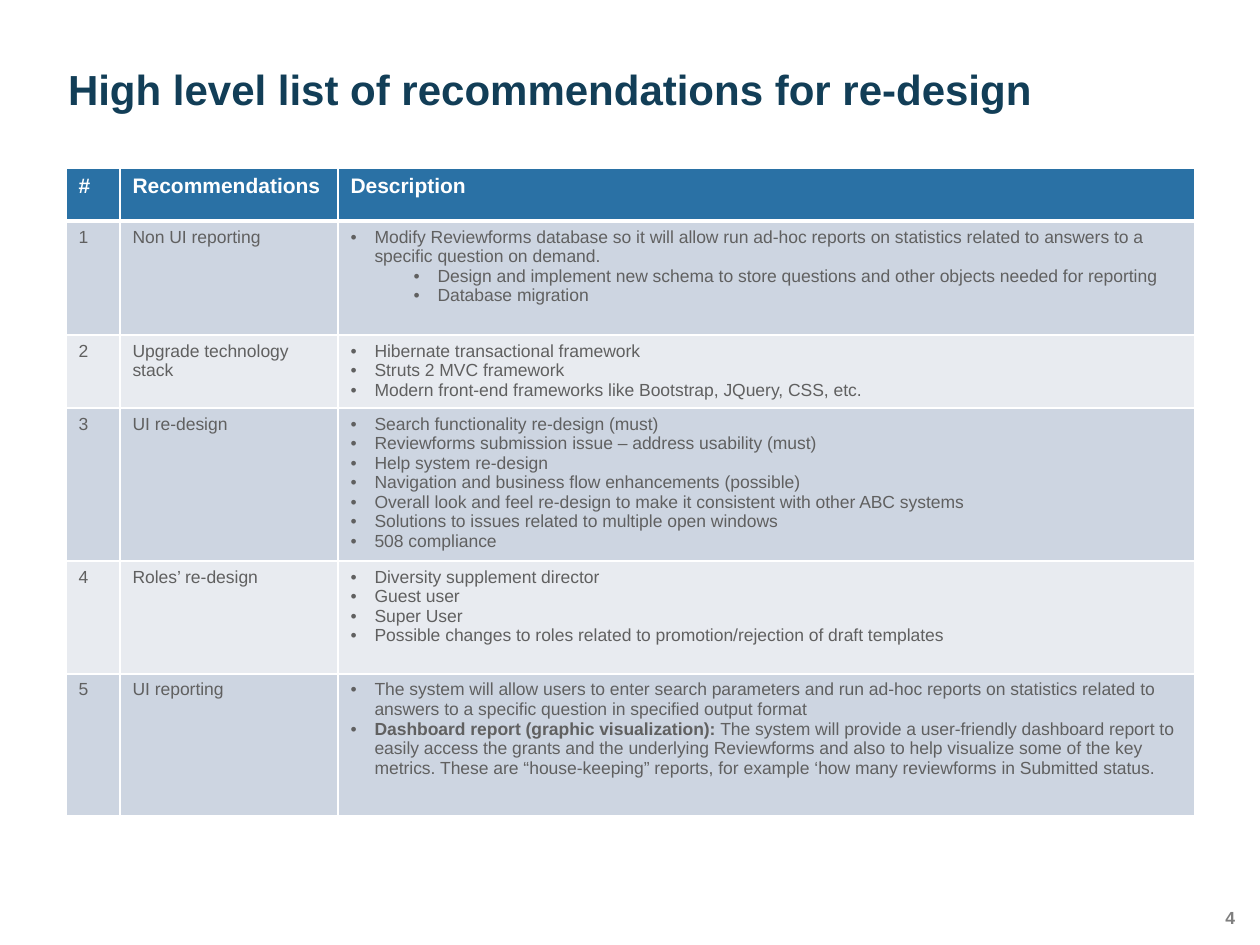
import pptx
import pptx.util
import pptx.dml.color
import pptx.enum.text
import pptx.oxml
import pptx.oxml.ns
from lxml import etree

PX = 914400 / 126
COLORS = {"title": "123E57", "header": "2A71A5", "odd": "CDD5E1",
          "even": "E8EBF0", "body": "606060", "white": "FFFFFF", "number": "7F7F7F"}
COLUMN_WIDTHS = [54, 218, 857]
ROW_HEIGHTS = [53, 114, 73, 153, 113, 142]
HEADER = ["#", "Recommendations", "Description"]

# Each description item is (level, text) or (level, text, bold lead-in).
RECOMMENDATIONS = [
    ("Non UI reporting", [
        (0, "Modify Reviewforms database so it will allow run ad-hoc reports on "
            "statistics related to answers to a specific question on demand."),
        (1, "Design and implement new schema to store questions and other objects "
            "needed for reporting"),
        (1, "Database migration")]),
    ("Upgrade technology stack", [
        (0, "Hibernate transactional framework"),
        (0, "Struts 2 MVC framework"),
        (0, "Modern front-end frameworks like Bootstrap, JQuery, CSS, etc.")]),
    ("UI re-design", [
        (0, "Search functionality re-design (must)"),
        (0, "Reviewforms submission issue – address usability (must)"),
        (0, "Help system re-design"),
        (0, "Navigation and business flow enhancements (possible)"),
        (0, "Overall look and feel re-design to make it consistent with other ABC systems"),
        (0, "Solutions to issues related to multiple open windows"),
        (0, "508 compliance")]),
    ("Roles’ re-design", [
        (0, "Diversity supplement director"),
        (0, "Guest user"),
        (0, "Super User"),
        (0, "Possible changes to roles related to promotion/rejection of draft templates")]),
    ("UI reporting", [
        (0, "The system will allow users to enter search parameters and run ad-hoc "
            "reports on statistics related to answers to a specific question in "
            "specified output format"),
        (0, "The system will provide a user-friendly dashboard report to easily access "
            "the grants and the underlying Reviewforms and also to help visualize some "
            "of the key metrics. These are “house-keeping” reports, for example "
            "‘how many reviewforms in Submitted status.",
            "Dashboard report (graphic visualization): ")]),
]


def px(n):
    """Turn pixels into EMU."""
    return pptx.util.Emu(round(n * PX))


def rgb(name):
    """Look up a named colour."""
    return pptx.dml.color.RGBColor.from_string(COLORS[name])


def add_text(p, text, size=10, color="body", bold=False):
    """Add one formatted run to a paragraph."""
    r = p.add_run()
    r.text = text
    r.font.name = "Arial"
    r.font.size = pptx.util.Pt(size)
    r.font.bold = bold
    r.font.color.rgb = rgb(color)


def set_frame(tf, anchor):
    """Give a text frame no margins, wrapping and an anchor."""
    tf.margin_left = tf.margin_right = tf.margin_top = tf.margin_bottom = 0
    tf.word_wrap = True
    tf.auto_size = pptx.enum.text.MSO_AUTO_SIZE.NONE
    tf.vertical_anchor = anchor


def set_bullet(p, level):
    """Give a paragraph a hanging bullet at its level."""
    p.level = level
    pPr = p._p.get_or_add_pPr()
    pPr.set("marL", str(px(24 + 63 * level)))
    pPr.set("indent", str(-px(24)))
    etree.SubElement(pPr, pptx.oxml.ns.qn("a:buFont")).set("typeface", "Arial")
    etree.SubElement(pPr, pptx.oxml.ns.qn("a:buChar")).set("char", "•")


def style_cell(cell, fill, top=1, bottom=1):
    """Draw white cell borders and fill the cell."""
    tcPr = cell._tc.get_or_add_tcPr()
    for side, width in (("L", 1), ("R", 1), ("T", top), ("B", bottom)):
        tcPr.append(pptx.oxml.parse_xml(
            f'<a:ln{side} {pptx.oxml.ns.nsdecls("a")} w="{width * 12700}"><a:solidFill>'
            f'<a:srgbClr val="{COLORS["white"]}"/></a:solidFill></a:ln{side}>'))
    cell.fill.solid()
    cell.fill.fore_color.rgb = rgb(fill)


def add_title(s, text):
    """Place and format the title placeholder."""
    sp = s.shapes.title
    sp.left, sp.top, sp.width, sp.height = px(68), px(57), px(1125), px(58)
    set_frame(sp.text_frame, pptx.enum.text.MSO_ANCHOR.BOTTOM)
    p = sp.text_frame.paragraphs[0]
    p.alignment = pptx.enum.text.PP_ALIGN.LEFT
    p.line_spacing = 0.9
    add_text(p, text, size=24, color="title", bold=True)


def add_description(cell, items):
    """Fill a cell with bulleted items."""
    tf = cell.text_frame
    for i, (level, text, *lead) in enumerate(items):
        p = tf.add_paragraph() if i else tf.paragraphs[0]
        set_bullet(p, level)
        for part in lead:
            add_text(p, part, bold=True)
        add_text(p, text)


def add_recommendations(s):
    """Build the table of recommendations."""
    table = s.shapes.add_table(len(ROW_HEIGHTS), len(COLUMN_WIDTHS), px(66), px(168),
                               px(sum(COLUMN_WIDTHS)), px(sum(ROW_HEIGHTS))).table
    for column, width in zip(table.columns, COLUMN_WIDTHS):
        column.width = px(width)
    for row, height in zip(table.rows, ROW_HEIGHTS):
        row.height = px(height)
    for cell, text in zip(table.rows[0].cells, HEADER):
        style_cell(cell, "header", bottom=3)
        add_text(cell.text_frame.paragraphs[0], text, size=12, color="white", bold=True)
    for n, (name, items) in enumerate(RECOMMENDATIONS, 1):
        cells = list(table.rows[n].cells)
        for cell in cells:
            style_cell(cell, "odd" if n % 2 else "even", top=3 if n == 1 else 1)
        add_text(cells[0].text_frame.paragraphs[0], str(n))
        add_text(cells[1].text_frame.paragraphs[0], name)
        add_description(cells[2], items)


def add_page_number(s, text):
    """Put the page number in the lower right corner."""
    tf = s.shapes.add_textbox(px(1192), px(907), px(43), px(25)).text_frame
    set_frame(tf, pptx.enum.text.MSO_ANCHOR.TOP)
    tf.paragraphs[0].alignment = pptx.enum.text.PP_ALIGN.RIGHT
    add_text(tf.paragraphs[0], text, color="number", bold=True)


def main():
    """Build and save the slide."""
    prs = pptx.Presentation()
    prs.slide_width, prs.slide_height = px(1260), px(945)
    s = prs.slides.add_slide(prs.slide_layouts[5])
    add_page_number(s, "4")
    add_title(s, "High level list of recommendations for re-design")
    add_recommendations(s)
    prs.save("out.pptx")


main()
